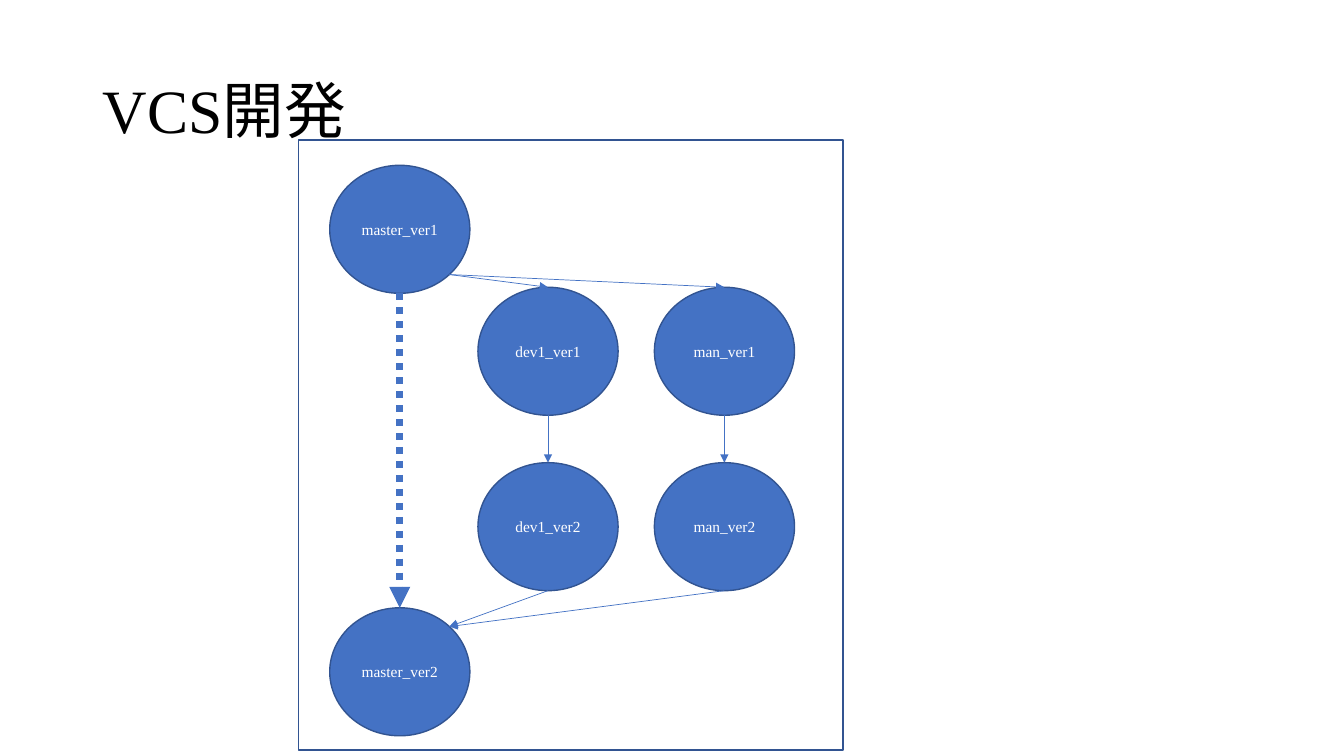
from lxml.etree import SubElement
from math import sqrt
from pptx import Presentation
from pptx.dml.color import RGBColor as Rgb
from pptx.enum.dml import MSO_LINE as Dash
from pptx.enum.shapes import MSO_CONNECTOR as Link, MSO_SHAPE as Preset
from pptx.enum.text import MSO_ANCHOR as Anchor, PP_ALIGN as Align
from pptx.oxml.ns import qn
from pptx.util import Inches, Pt

COLORS = {"black": "000000", "white": "FFFFFF", "blue": "4472C4", "navy": "325491"}
COLUMNS = {"master": 3.27, "dev1": 4.74, "man": 6.49}
ROWS = {"start": 1.64, "branch": 2.85, "work": 4.59, "merge": 6.03}
WIDTH, HEIGHT = 1.39, 1.27
DIAGONAL = 1 / sqrt(2)
SITES = {
    "top": (0, -1),
    "bottom": (0, 1),
    "upper right": (DIAGONAL, -DIAGONAL),
    "lower right": (DIAGONAL, DIAGONAL),
}


def write(frame, wording, align, color, size):
    frame.word_wrap = True
    frame.vertical_anchor = Anchor.MIDDLE
    paragraph = frame.paragraphs[0]
    paragraph.alignment = align
    run = paragraph.add_run()
    run.text = wording
    for key, value in {"name": "Times New Roman", "size": Pt(size), "bold": False}.items():
        setattr(run.font, key, value)
    run.font.color.rgb = Rgb.from_string(COLORS[color])
    return paragraph


def site_of(column, row, site):
    across, down = SITES[site]
    return (
        Inches(COLUMNS[column] + WIDTH / 2 * (1 + across)),
        Inches(ROWS[row] + HEIGHT / 2 * (1 + down)),
    )


deck = Presentation()
deck.slide_width, deck.slide_height = Inches(13.33), Inches(7.5)
slide = deck.slides.add_slide(deck.slide_layouts[5])
shapes = slide.shapes

heading = shapes.title
for side, length in {"left": 0.92, "top": 0.4, "width": 11.5, "height": 1.45}.items():
    setattr(heading, side, Inches(length))
write(heading.text_frame, "VCS開発", Align.LEFT, "black", 44).line_spacing = 0.9

border = shapes.add_shape(
    Preset.RECTANGLE, Inches(2.96), Inches(1.39), Inches(5.4), Inches(6.05)
)
border.fill.background()
outlined = [border]

versions = [
    ("master_ver1", "master", "start"),
    ("master_ver2", "master", "merge"),
    ("dev1_ver1", "dev1", "branch"),
    ("dev1_ver2", "dev1", "work"),
    ("man_ver1", "man", "branch"),
    ("man_ver2", "man", "work"),
]
for wording, column, row in versions:
    version = shapes.add_shape(
        Preset.OVAL, Inches(COLUMNS[column]), Inches(ROWS[row]), Inches(WIDTH), Inches(HEIGHT)
    )
    version.fill.solid()
    version.fill.fore_color.rgb = Rgb.from_string(COLORS["blue"])
    write(version.text_frame, wording, Align.CENTER, "white", 11)
    outlined.append(version)

for outline in outlined:
    outline.shadow.inherit = False
    outline.line.color.rgb = Rgb.from_string(COLORS["navy"])
    outline.line.width = Pt(1)

thin = {"width": Pt(0.5)}
dotted = {"width": Pt(5), "dash_style": Dash.ROUND_DOT}
branch_point = ("master", "start", "lower right")
merge_point = ("master", "merge", "upper right")
flows = [
    (branch_point, ("dev1", "branch", "top"), thin),
    (branch_point, ("man", "branch", "top"), thin),
    (("dev1", "branch", "bottom"), ("dev1", "work", "top"), thin),
    (("man", "branch", "bottom"), ("man", "work", "top"), thin),
    (("man", "work", "bottom"), merge_point, thin),
    (("dev1", "work", "bottom"), merge_point, thin),
    (("master", "start", "bottom"), ("master", "merge", "top"), dotted),
]
for origin, target, style in flows:
    arrow = shapes.add_connector(Link.STRAIGHT, *site_of(*origin), *site_of(*target))
    arrow.line.color.rgb = Rgb.from_string(COLORS["blue"])
    for key, value in style.items():
        setattr(arrow.line, key, value)
    SubElement(arrow.line._get_or_add_ln(), qn("a:tailEnd"), type="triangle")
    SubElement(arrow._element.spPr, qn("a:effectLst"))

deck.save("out.pptx")
